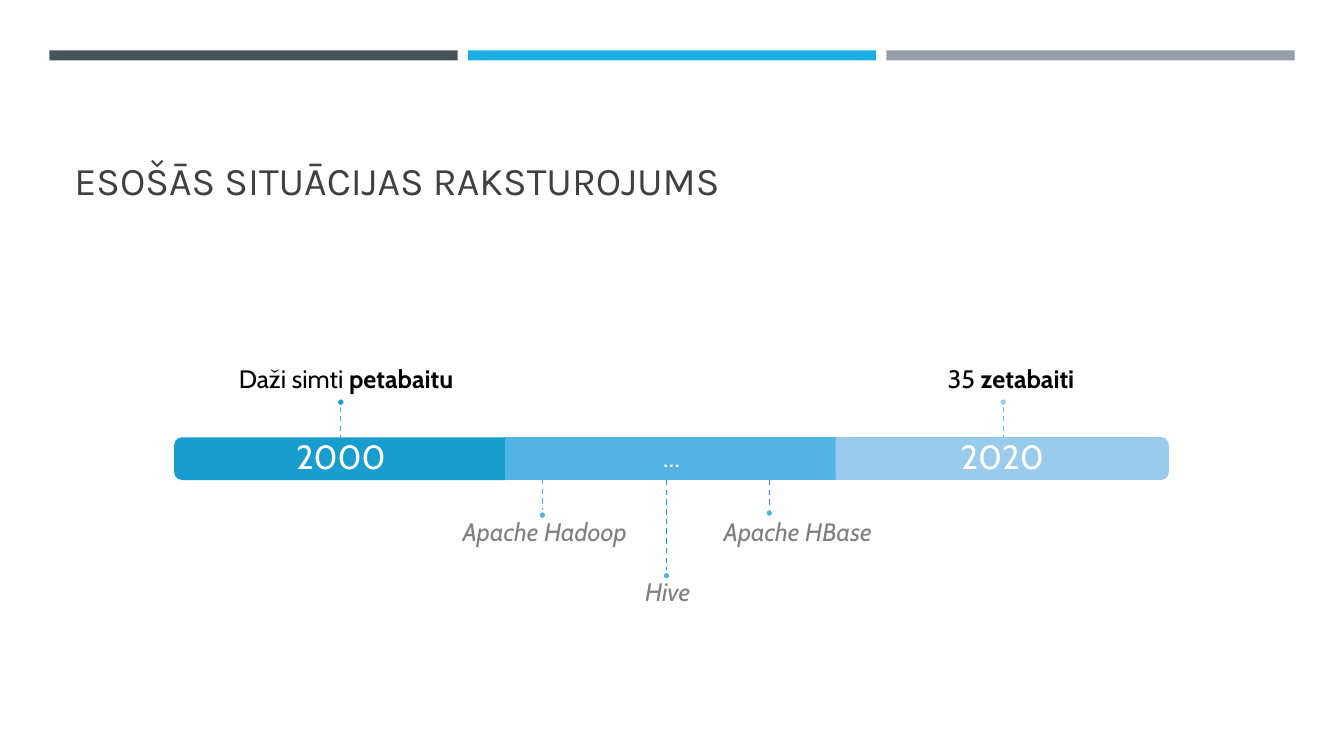
from dataclasses import dataclass

from lxml.etree import SubElement
from pptx import Presentation
from pptx.dml.color import RGBColor
from pptx.enum.dml import MSO_LINE
from pptx.enum.shapes import MSO_CONNECTOR, MSO_SHAPE
from pptx.enum.text import MSO_ANCHOR, PP_ALIGN
from pptx.oxml.ns import qn
from pptx.shapes.autoshape import Shape
from pptx.slide import Slide
from pptx.util import Pt

EMU_PER_PX = 9144

WHITE = RGBColor(0xFF, 0xFF, 0xFF)
BLACK = RGBColor(0x00, 0x00, 0x00)
GRAY = RGBColor(0x80, 0x80, 0x80)
TITLE_GRAY = RGBColor(0x40, 0x40, 0x40)
SLATE = RGBColor(0x46, 0x53, 0x59)
CYAN = RGBColor(0x1C, 0xAD, 0xE4)
SILVER = RGBColor(0x96, 0x9F, 0xA7)
DEEP_BLUE = RGBColor(0x19, 0x9D, 0xCF)
MID_BLUE = RGBColor(0x52, 0xB3, 0xE5)
PALE_BLUE = RGBColor(0x99, 0xCB, 0xEC)
DASH_START = RGBColor(0x36, 0xB3, 0xE9)
DASH_MIDDLE = RGBColor(0x48, 0xB8, 0xEC)
DASH_END = RGBColor(0x5A, 0xBE, 0xEF)
DASH_DARK = RGBColor(0x18, 0x9C, 0xCE)

PERIOD_LEFT, PERIOD_TOP = 174, 435
PERIOD_WIDTH, PERIOD_HEIGHT = 328, 40
DOT_SIZE = 8
BORDER_WIDTH = 1.75


@dataclass(frozen=True)
class Period:
    label: str
    size: int
    color: RGBColor
    rotation: int


@dataclass(frozen=True)
class Marker:
    x: int
    line_top: int
    line_bottom: int
    dot_top: int
    line_color: RGBColor
    dot_color: RGBColor


@dataclass(frozen=True)
class Caption:
    left: int
    top: int
    text: str
    bold_text: str = ""
    color: RGBColor = BLACK
    italic: bool = False


HEADER_COLORS = [SLATE, CYAN, SILVER]
PERIODS = [
    Period("2000", 24, DEEP_BLUE, 270),
    Period("...", 20, MID_BLUE, 0),
    Period("2020", 24, PALE_BLUE, 90),
]
MARKERS = [
    Marker(338, 403, 435, 395, DASH_START, DEEP_BLUE),
    Marker(538, 475, 507, 507, DASH_MIDDLE, MID_BLUE),
    Marker(995, 403, 435, 395, DASH_END, PALE_BLUE),
    Marker(763, 476, 513, 505, DASH_DARK, MID_BLUE),
    Marker(661, 476, 567, 567, DASH_DARK, MID_BLUE),
]
CAPTIONS = [
    Caption(227, 356, "Daži simti ", "petabaitu"),
    Caption(930, 356, "35 ", "zetabaiti"),
    Caption(708, 507, "Apache HBase", color=GRAY, italic=True),
    Caption(630, 567, "Hive", color=GRAY, italic=True),
    Caption(449, 507, "Apache Hadoop", color=GRAY, italic=True),
]


def px(*lengths: int) -> list[int]:
    return [length * EMU_PER_PX for length in lengths]


def add_filled(slide: Slide, kind: MSO_SHAPE, box: tuple[int, int, int, int],
               fill: RGBColor, border: RGBColor | None = None) -> Shape:
    shape = slide.shapes.add_shape(kind, *px(*box))
    shape.shadow.inherit = False
    shape.fill.solid()
    shape.fill.fore_color.rgb = fill
    if border is None:
        shape.line.fill.background()
    else:
        shape.line.color.rgb = border
        shape.line.width = Pt(BORDER_WIDTH)
    return shape


def add_text(slide: Slide, box: tuple[int, int, int, int], text: str, size: int,
             color: RGBColor, font_name: str = "Cabin") -> Shape:
    shape = slide.shapes.add_textbox(*px(*box))
    shape.text_frame.word_wrap = True
    shape.text_frame.text = text
    font = shape.text_frame.paragraphs[0].runs[0].font
    font.name = font_name
    font.size = Pt(size)
    font.color.rgb = color
    return shape


def add_header(slide: Slide) -> None:
    for index, color in enumerate(HEADER_COLORS):
        add_filled(slide, MSO_SHAPE.RECTANGLE, (49 + 415 * index, 50, 405, 10), color)


def add_title(slide: Slide, text: str) -> None:
    title = add_text(slide, (64, 77, 1206, 130), text, 28, TITLE_GRAY, "Karla")
    title.text_frame.vertical_anchor = MSO_ANCHOR.BOTTOM


def add_period(slide: Slide, period: Period, left: int) -> None:
    box = (left, PERIOD_TOP, PERIOD_WIDTH, PERIOD_HEIGHT)
    if period.rotation:
        offset = (PERIOD_WIDTH - PERIOD_HEIGHT) // 2
        upright_box = (left + offset, PERIOD_TOP - offset, PERIOD_HEIGHT, PERIOD_WIDTH)
        bar = add_filled(slide, MSO_SHAPE.ROUND_2_SAME_RECTANGLE, upright_box,
                         period.color, period.color)
        bar.rotation = period.rotation
    else:
        add_filled(slide, MSO_SHAPE.RECTANGLE, box, period.color, period.color)
    label = add_text(slide, box, period.label, period.size, WHITE)
    frame = label.text_frame
    frame.vertical_anchor = MSO_ANCHOR.MIDDLE
    frame.margin_top = frame.margin_bottom = 0
    frame.paragraphs[0].alignment = PP_ALIGN.CENTER
    frame.paragraphs[0].line_spacing = 0.9


def add_marker(slide: Slide, marker: Marker) -> None:
    connector = slide.shapes.add_connector(
        MSO_CONNECTOR.STRAIGHT,
        *px(marker.x, marker.line_top, marker.x, marker.line_bottom))
    connector.line.color.rgb = marker.line_color
    connector.line.width = Pt(1)
    connector.line.dash_style = MSO_LINE.DASH
    SubElement(connector._element.spPr, qn("a:effectLst"))
    dot_box = (marker.x - DOT_SIZE // 2, marker.dot_top, DOT_SIZE, DOT_SIZE)
    add_filled(slide, MSO_SHAPE.OVAL, dot_box, marker.dot_color, WHITE)


def add_caption(slide: Slide, caption: Caption) -> None:
    shape = add_text(slide, (caption.left, caption.top, 243, 71), caption.text,
                     18, caption.color)
    paragraph = shape.text_frame.paragraphs[0]
    paragraph.runs[0].font.italic = caption.italic
    if caption.bold_text:
        run = paragraph.add_run()
        run.text = caption.bold_text
        run.font.name = "Cabin"
        run.font.size = Pt(18)
        run.font.bold = True
        run.font.color.rgb = caption.color


def main() -> None:
    presentation = Presentation()
    presentation.slide_width, presentation.slide_height = px(1333, 750)
    slide = presentation.slides.add_slide(presentation.slide_layouts[6])
    add_header(slide)
    add_title(slide, "ESOŠĀS SITUĀCIJAS RAKSTUROJUMS")
    for index, period in enumerate(PERIODS):
        add_period(slide, period, PERIOD_LEFT + PERIOD_WIDTH * index)
    for marker in MARKERS:
        add_marker(slide, marker)
    for caption in CAPTIONS:
        add_caption(slide, caption)
    presentation.save("out.pptx")


if __name__ == "__main__":
    main()
